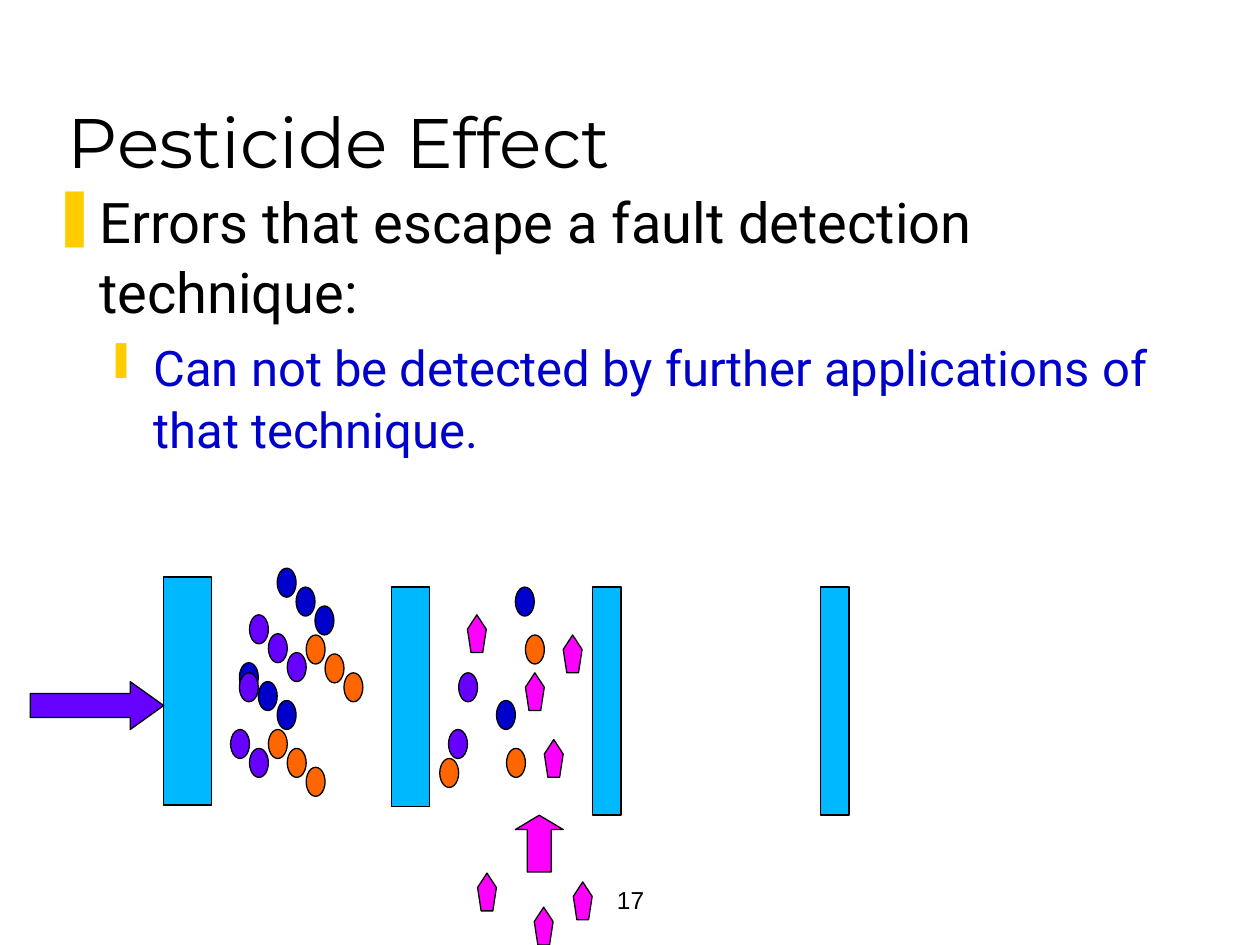
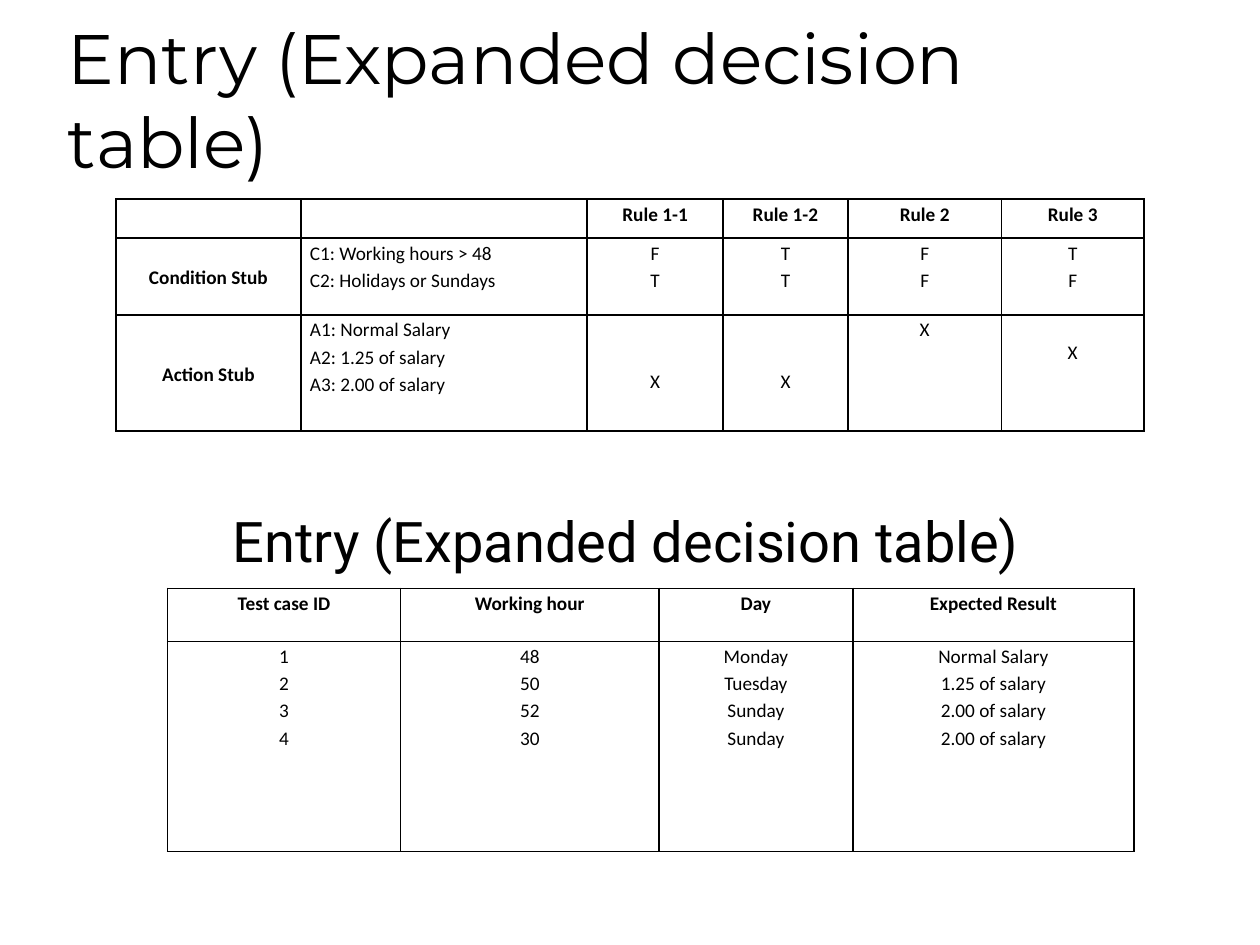
from lxml import etree
from pptx import Presentation
from pptx.dml.color import RGBColor
from pptx.enum.shapes import MSO_SHAPE as Kind
from pptx.enum.text import MSO_ANCHOR as Anchor, PP_ALIGN as Align
from pptx.oxml.ns import qn
from pptx.util import Inches, Pt

BLACK = RGBColor(0x00, 0x00, 0x00)
BLUE = RGBColor(0x00, 0x00, 0xCC)
PURPLE = RGBColor(0x66, 0x00, 0xFF)
ORANGE = RGBColor(0xFF, 0x66, 0x00)
PINK = RGBColor(0xFF, 0x00, 0xFF)
SKY = RGBColor(0x00, 0xB8, 0xFF)
GOLD = RGBColor(0xFF, 0xCC, 0x00)

TITLE = dict(name="Montserrat", size=Pt(40))
BODY = dict(name="Roboto", size=Pt(32))
SUB = dict(name="Roboto", size=Pt(28))
PAGE = dict(name="Arial", size=Pt(14))
CELL = dict(name="Calibri", size=Pt(11))

TITLE_BOX = (0.44, 0.25, 8.5, 1.25)
STEP = 0.15  # shift from one bug of a trail to the next

# Barriers: left, top, width, height
BARRIERS = [
    (1.1, 0.08, 0.38, 1.81),
    (2.91, 0.16, 0.3, 1.74),
    (4.5, 0.16, 0.23, 1.81),
    (6.31, 0.16, 0.23, 1.81),
]
# Trails of bugs: colour, left, top, count
TRAILS = [
    (BLUE, 1.7, 0.76, 3), (PURPLE, 1.7, 0.84, 1), (PURPLE, 1.63, 1.29, 2),
    (ORANGE, 1.93, 1.29, 3), (BLUE, 2.0, 0.01, 3), (PURPLE, 1.78, 0.38, 3),
    (ORANGE, 2.23, 0.54, 3),
    (ORANGE, 3.29, 1.52, 1), (BLUE, 3.74, 1.06, 1), (PURPLE, 3.44, 0.84, 1),
    (PURPLE, 3.36, 1.29, 1), (ORANGE, 3.82, 1.44, 1), (BLUE, 3.89, 0.16, 1),
    (ORANGE, 3.97, 0.54, 1),
]
# New bugs: left, top
NEW_BUGS = [(3.51, 0.38), (3.97, 0.84), (4.12, 1.37), (4.27, 0.54),
            (3.59, 2.43), (4.04, 2.7), (4.35, 2.5)]

RULES = [
    ["", "", "Rule 1-1", "Rule 1-2", "Rule 2", "Rule 3"],
    ["Condition Stub", "C1: Working hours > 48\nC2: Holidays or Sundays",
     "F\nT", "T\nT", "F\nF", "T\nF"],
    ["Action Stub", "A1: Normal Salary\nA2: 1.25 of salary\nA3: 2.00 of salary",
     "X", "X", "X", "X"],
]
# Top margins that set each X beside its action
DROPS = {(2, 2): 0.41, (2, 3): 0.41, (2, 5): 0.18}
CASES = [
    ["Test case ID", "Working hour", "Day", "Expected Result"],
    ["1\n2\n3\n4", "48\n50\n52\n30", "Monday\nTuesday\nSunday\nSunday",
     "Normal Salary\n1.25 of salary\n2.00 of salary\n2.00 of salary"],
]


def style(para, look, color=BLACK, bold=False):
    for run in para.runs:
        for key, value in look.items():
            setattr(run.font, key, value)
        run.font.bold = bold
        run.font.color.rgb = color


def add_text(slide, box, text, look, anchor=Anchor.TOP, align=Align.LEFT):
    frame = slide.shapes.add_textbox(*map(Inches, box)).text_frame
    frame.word_wrap = True
    frame.vertical_anchor = anchor
    frame.text = text
    for para in frame.paragraphs:
        para.alignment = align
        style(para, look)
    return frame


def add_title(slide, text):
    add_text(slide, TITLE_BOX, text, TITLE, Anchor.BOTTOM)


def add_bullet(para, mark, left, hang):
    props = para._p.get_or_add_pPr()
    props.set("marL", str(Inches(left)))
    props.set("indent", str(-Inches(hang)))
    color = etree.SubElement(props, qn("a:buClr"))
    etree.SubElement(color, qn("a:srgbClr"), val=str(GOLD))
    etree.SubElement(props, qn("a:buChar"), char=mark)


def add_points(slide, box):
    frame = add_text(
        slide, box,
        "Errors that escape a fault detection technique:\n"
        "Can not be detected by further applications of that technique.", BODY)
    main, sub = frame.paragraphs
    for para in (main, sub):
        para.line_spacing = 1.05
    sub.level = 1
    sub.space_before = Pt(5.6)
    add_bullet(main, "❚", 0.38, 0.38)
    add_bullet(sub, "❙", 0.81, 0.31)
    style(sub, SUB, BLUE)


def add_filters(slide, left, top):
    """Draw the barriers and the bugs that pass them, from a corner."""
    def draw(kind, color, x, y, wide, high, adjust=()):
        shape = slide.shapes.add_shape(
            kind, *map(Inches, (left + x, top + y, wide, high)))
        shape.shadow.inherit = False
        shape.fill.solid()
        shape.fill.fore_color.rgb = color
        shape.line.color.rgb = BLACK
        shape.line.width = Pt(0.75)
        for i, value in enumerate(adjust):
            shape.adjustments[i] = value

    for box in BARRIERS:
        draw(Kind.RECTANGLE, SKY, *box)
    draw(Kind.RIGHT_ARROW, PURPLE, 0.04, 0.91, 1.06, 0.38, (0.5, 0.7))
    for color, x, y, count in TRAILS:
        for i in range(count):
            draw(Kind.OVAL, color, x + i * STEP, y + i * STEP, 0.15, 0.23)
    for x, y in NEW_BUGS:
        draw(Kind.REGULAR_PENTAGON, PINK, x, y, 0.15, 0.3)
    draw(Kind.UP_ARROW, PINK, 3.89, 1.97, 0.38, 0.45, (0.5, 0.3))


def add_borders(cell):
    props = cell._tc.get_or_add_tcPr()
    for side in ("lnL", "lnR", "lnT", "lnB"):
        line = etree.SubElement(props, qn("a:" + side), w=str(Pt(1)))
        fill = etree.SubElement(line, qn("a:solidFill"))
        etree.SubElement(fill, qn("a:srgbClr"), val=str(BLACK))


def add_grid(slide, left, top, cols, rows, data, stubs=False, drops={}):
    """Add a table; stubs makes column 0 bold labels and column 1 left text."""
    box = (left, top, sum(cols), sum(rows))
    table = slide.shapes.add_table(
        len(rows), len(cols), *map(Inches, box)).table
    table.first_row = table.horz_banding = False
    for col, width in zip(table.columns, cols):
        col.width = Inches(width)
    for row, height in zip(table.rows, rows):
        row.height = Inches(height)
    for r, texts in enumerate(data):
        for c, text in enumerate(texts):
            cell = table.cell(r, c)
            add_borders(cell)
            cell.fill.background()
            cell.margin_left = cell.margin_right = Inches(0.07)
            cell.margin_top = Inches(drops.get((r, c), 0))
            cell.margin_bottom = 0
            if not text:
                continue
            label = stubs and c == 0
            cell.vertical_anchor = Anchor.MIDDLE if label else Anchor.TOP
            cell.text = text
            for para in cell.text_frame.paragraphs:
                para.alignment = Align.LEFT if stubs and c == 1 else Align.CENTER
                para.line_spacing = 1.15
                style(para, CELL, bold=r == 0 or label)


def pest_slide(slide):
    add_text(slide, (3.42, 6.81, 3.17, 0.5), "17", PAGE,
             Anchor.BOTTOM, Align.CENTER)
    add_title(slide, "Pesticide Effect")
    add_points(slide, (0.31, 1.41, 9.45, 5.65))
    add_filters(slide, 0.2, 4.5)


def entry_slide(slide):
    name = "Entry (Expanded decision table)"
    add_title(slide, name)
    add_text(slide, (0.5, 3.97, 8.94, 0.63), name, BODY, align=Align.CENTER)
    add_grid(slide, 0.92, 1.58, (1.47, 2.27, 1.08, 0.99, 1.22, 1.13),
             (0.31, 0.61, 0.92), RULES, True, DROPS)
    add_grid(slide, 1.33, 4.67, (1.85, 2.05, 1.54, 2.23), (0.42, 1.67), CASES)


def main():
    deck = Presentation()
    deck.slide_width, deck.slide_height = Inches(10), Inches(7.5)
    for build in (pest_slide, entry_slide):
        build(deck.slides.add_slide(deck.slide_layouts[6]))
    deck.save("out.pptx")


if __name__ == "__main__":
    main()
